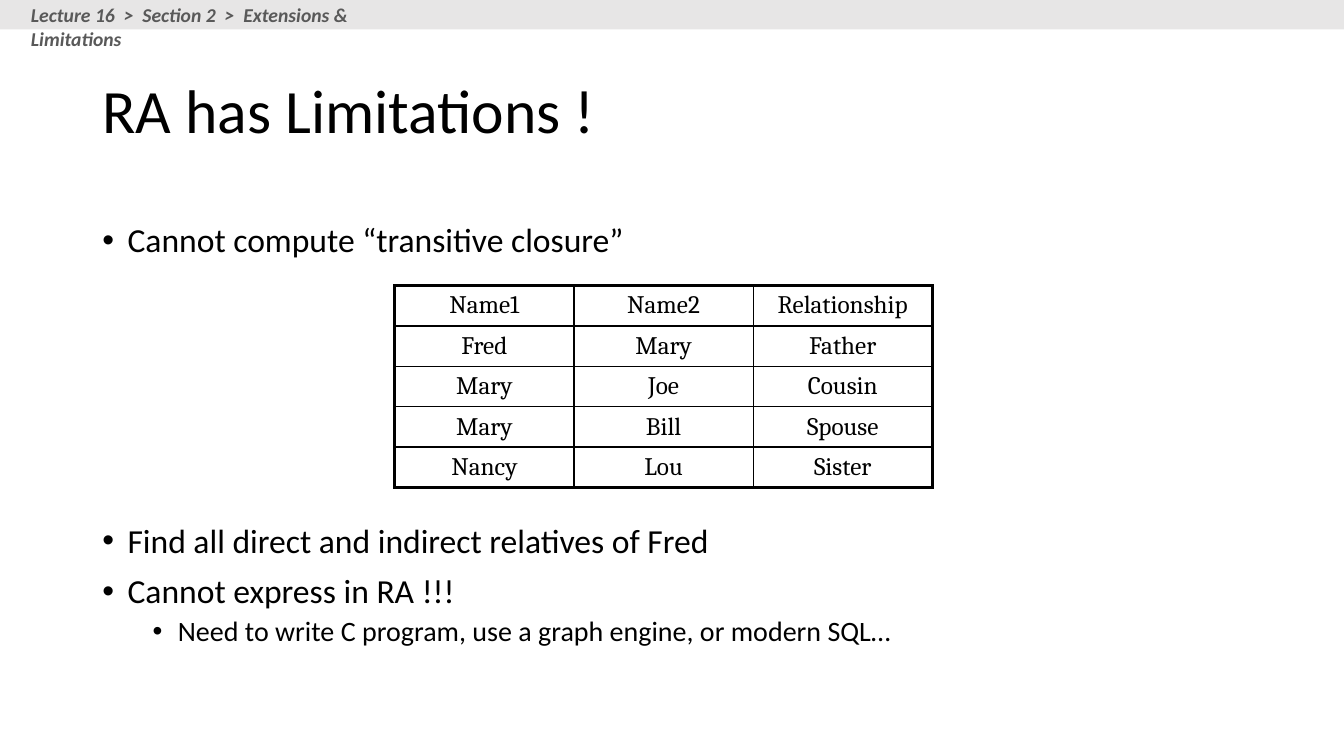
"""Build a lecture slide on the limits of relational algebra."""
from lxml import etree
from pptx import Presentation
from pptx import util as u
from pptx.dml import color
from pptx.enum import shapes, text
from pptx.oxml import ns

COLS, ROWS = 160, 90
WIDE, HIGH = u.Inches(13.333), u.Inches(7.5)
INK = "000000"
KIN = [
    ("Name1", "Name2", "Relationship"),
    ("Fred", "Mary", "Father"),
    ("Mary", "Joe", "Cousin"),
    ("Mary", "Bill", "Spouse"),
    ("Nancy", "Lou", "Sister"),
]
POINTS = [
    ("Cannot compute “transitive closure”", 0, 10),
    ("Find all direct and indirect relatives of Fred", 0, 189),
    ("Cannot express in RA !!!", 0, 10),
    ("Need to write C program, use a graph engine, or modern SQL…", 1, 5),
]


def grid(x, y, w, h):
    """Turn grid columns and rows into slide lengths."""
    return [round(n * side / cells) for n, side, cells in
            ((x, WIDE, COLS), (y, HIGH, ROWS), (w, WIDE, COLS), (h, HIGH, ROWS))]


def paint(target, tone):
    """Set a solid colour given as a hex string."""
    target.rgb = color.RGBColor.from_string(tone)


def write(para, words, size, face="Calibri", tone=INK, slant=False):
    """Add one formatted run to a paragraph."""
    run = para.add_run()
    run.text = words
    font = run.font
    font.name, font.size = face, u.Pt(size)
    font.bold = font.italic = slant
    paint(font.color, tone)


def node(parent, tag, **attrs):
    """Append a drawing element with attributes."""
    return etree.SubElement(parent, ns.qn(tag), attrs)


def title(slide, words):
    """Place and format the title."""
    shape = slide.shapes.title
    shape.left, shape.top, shape.width, shape.height = grid(11, 4.8, 138, 17.4)
    shape.text_frame.vertical_anchor = text.MSO_ANCHOR.MIDDLE
    para = shape.text_frame.paragraphs[0]
    para.alignment = text.PP_ALIGN.LEFT
    para.line_spacing = 0.9
    write(para, words, 44)


def box(slide, *area):
    """Add a wrapping text box and return its frame."""
    frame = slide.shapes.add_textbox(*grid(*area)).text_frame
    frame.word_wrap = True
    return frame


def bullets(slide, points):
    """List the points with bullets and spacing."""
    frame = box(slide, 11, 26, 138, 54)
    for i, (words, level, gap) in enumerate(points):
        para = frame.add_paragraph() if i else frame.paragraphs[0]
        para.level = level
        para.line_spacing = 0.9
        para.space_before = u.Pt(gap)
        props = para._p.get_or_add_pPr()
        props.set("marL", str(u.Inches(0.25 + level / 2)))
        props.set("indent", str(u.Inches(-0.25)))
        node(props, "a:buFont", typeface="Arial")
        node(props, "a:buChar", char="•")
        write(para, words, 24 - 4 * level)


def edge(cell, side, width):
    """Draw one cell border."""
    line = node(cell._tc.get_or_add_tcPr(), "a:ln" + side, w=str(u.Pt(width)))
    node(node(line, "a:solidFill"), "a:srgbClr", val=INK)


def table(slide, data):
    """Add a table with a heavy frame and header rule."""
    rows, cols = len(data), len(data[0])
    area = grid(47, 34, 64, 4.68 * rows)
    tab = slide.shapes.add_table(rows, cols, *area).table
    tab.first_row = tab.horz_banding = False
    for r, row in enumerate(data):
        for c, words in enumerate(row):
            cell = tab.cell(r, c)
            heavy = {"L": c == 0, "R": c == cols - 1,
                     "T": r < 2, "B": r in (0, rows - 1)}
            for side, thick in heavy.items():
                edge(cell, side, 2.25 if thick else 1)
            cell.fill.background()
            cell.vertical_anchor = text.MSO_ANCHOR.MIDDLE
            para = cell.text_frame.paragraphs[0]
            para.alignment = text.PP_ALIGN.CENTER
            write(para, words, 18, "Cambria")


def header(slide, words):
    """Add the top band and its section trail."""
    band = slide.shapes.add_shape(shapes.MSO_SHAPE.RECTANGLE, *grid(0, 0, COLS, 3.5))
    band.shadow.inherit = False
    band.fill.solid()
    paint(band.fill.fore_color, "E7E6E6")
    band.line.fill.background()
    frame = box(slide, 2.5, -0.24, 50, 4.1)
    write(frame.paragraphs[0], words, 14, tone="595959", slant=True)


def main():
    """Build and save the slide."""
    deck = Presentation()
    deck.slide_width, deck.slide_height = WIDE, HIGH
    slide = deck.slides.add_slide(deck.slide_layouts.get_by_name("Title Only"))
    title(slide, "RA has Limitations !")
    bullets(slide, POINTS)
    table(slide, KIN)
    header(slide, "Lecture 16  >  Section 2  >  Extensions & Limitations")
    deck.save("out.pptx")


if __name__ == "__main__":
    main()
